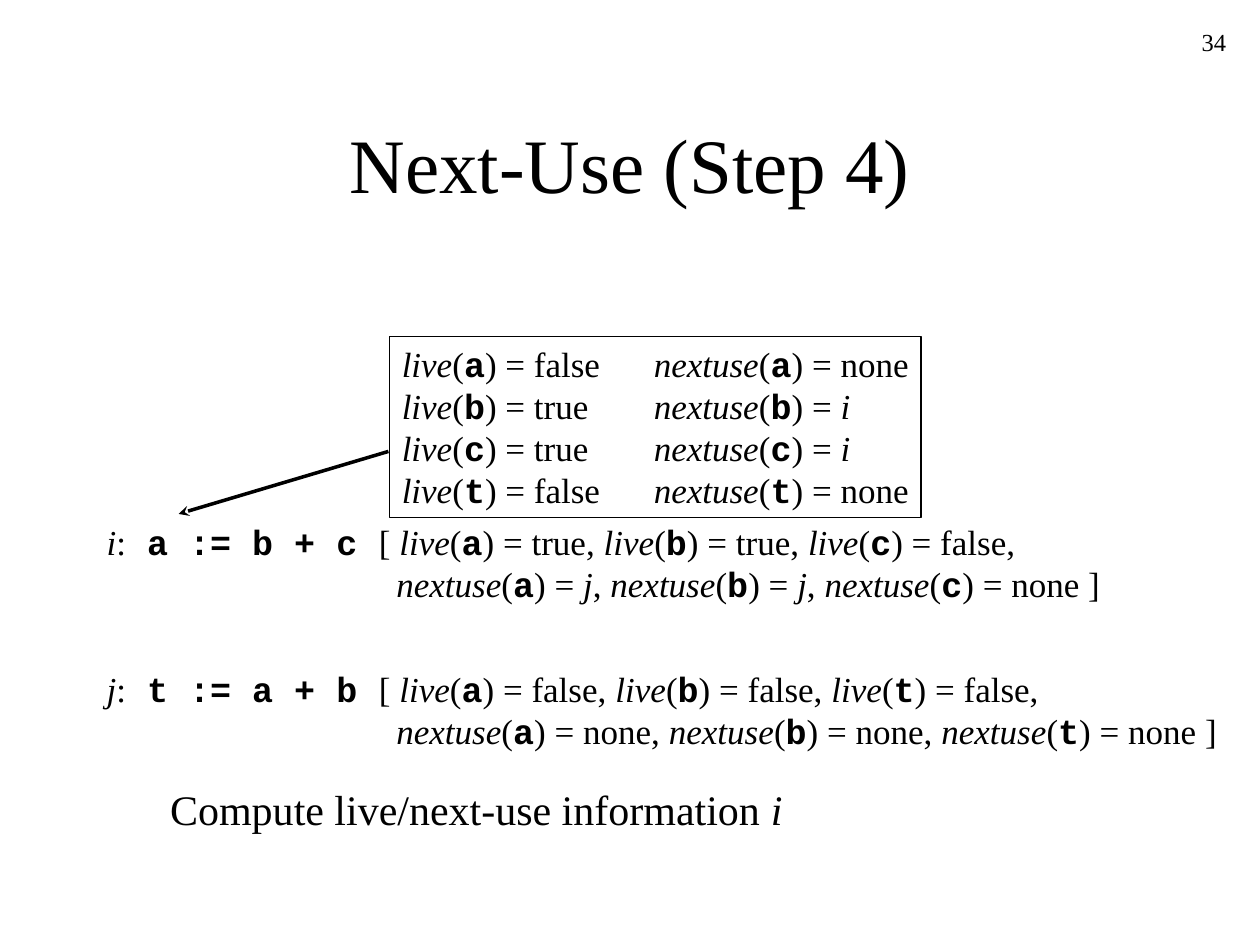
from lxml.etree import SubElement
from pptx import Presentation
from pptx.dml.color import RGBColor
from pptx.enum.shapes import MSO_CONNECTOR as Link, MSO_SHAPE as Shape
from pptx.enum.text import MSO_ANCHOR as Anchor, MSO_AUTO_SIZE as Fit, PP_ALIGN as Align
from pptx.oxml.ns import qn
from pptx.util import Cm, Pt

BLACK = RGBColor(0, 0, 0)
SERIF, MONO = "Times New Roman", "Courier New"
R, I, C = "roman", "italic", "code"

TITLE = "Next-Use (Step 4)"
NUMBER = "34"
NOTE = [("Compute live/next-use information ", R), ("i", I)]

# variable, live, next use
TABLE = [
    ("a", "false", "none"),
    ("b", "true", "i"),
    ("c", "true", "i"),
    ("t", "false", "none"),
]

# label, code, top in cm, facts as in TABLE
STEPS = [
    ("i", " a := b + c", 10.36,
     [("a", "true", "j"), ("b", "true", "j"), ("c", "false", "none")]),
    ("j", " t := a + b", 13.34,
     [("a", "false", "none"), ("b", "false", "none"), ("t", "false", "none")]),
]


def fact(name, var, value):
    """Runs for one equation, such as live(a) = true."""
    style = R if value in ("true", "false", "none") else I
    return [(name, I), ("(", R), (var, C), (") = ", R), (value, style)]


def chain(name, pairs):
    """Equations for all pairs, with commas between them."""
    runs = []
    for n, (var, value) in enumerate(pairs):
        if n:
            runs.append((", ", R))
        runs += fact(name, var, value)
    return runs


def write(par, runs, size):
    for text, style in runs:
        run = par.add_run()
        run.text = text
        font = run.font
        font.name = MONO if style == C else SERIF
        font.size = Pt(size)
        font.bold = style == C
        font.italic = style == I
        font.color.rgb = BLACK


def fill(shape, lines, size=20, align=Align.LEFT, wrap=False):
    frame = shape.text_frame
    frame.word_wrap = wrap
    frame.auto_size = Fit.NONE if wrap else Fit.SHAPE_TO_FIT_TEXT
    frame.vertical_anchor = Anchor.TOP
    for n, runs in enumerate(lines):
        par = frame.paragraphs[0] if n == 0 else frame.add_paragraph()
        par.alignment = align
        write(par, runs, size)
    return frame


def add_tab(par, place):
    stops = SubElement(par._p.get_or_add_pPr(), qn("a:tabLst"))
    SubElement(stops, qn("a:tab"), pos=str(place), algn="l")


def add_arrow(slide, start, end):
    line = slide.shapes.add_connector(Link.STRAIGHT, *start, *end)
    line.line.color.rgb = BLACK
    line.line.width = Pt(2)
    SubElement(line.line._get_or_add_ln(), qn("a:tailEnd"), type="stealth")
    SubElement(line._element.spPr, qn("a:effectLst"))


def add_table_box(slide):
    box = slide.shapes.add_shape(
        Shape.RECTANGLE, Cm(7.85), Cm(6.78), Cm(10.72), Cm(3.66))
    box.shadow.inherit = False
    box.fill.background()
    box.line.color.rgb = BLACK
    box.line.width = Pt(0.75)
    lines = [fact("live", var, live) + [("\t", R)] + fact("nextuse", var, use)
             for var, live, use in TABLE]
    for par in fill(box, lines).paragraphs:
        add_tab(par, Cm(5.08))


def add_step(slide, label, code, top, facts):
    box = slide.shapes.add_textbox
    left = box(Cm(1.9), Cm(top), Cm(5.56), Cm(1.12))
    fill(left, [[(label, I), (":", R), (code, C)]])
    lives = chain("live", [(var, live) for var, live, _ in facts])
    uses = chain("nextuse", [(var, use) for var, _, use in facts])
    wide = 17.4 if label == "j" else 15.04
    right = box(Cm(7.39), Cm(top), Cm(wide), Cm(1.96))
    frame = fill(right, [[("[ ", R)] + lives + [(",", R)], uses + [(" ]", R)]])
    props = frame.paragraphs[1]._p.get_or_add_pPr()
    props.set("marL", str(Cm(0.35)))
    props.set("indent", "0")


def main():
    deck = Presentation()
    deck.slide_width, deck.slide_height = Cm(25.4), Cm(19.05)
    slide = deck.slides.add_slide(deck.slide_layouts[6])
    box = slide.shapes.add_textbox

    title = box(Cm(1.9), Cm(1.7), Cm(21.6), Cm(3.18))
    frame = fill(title, [[(TITLE, R)]], 44, Align.CENTER, True)
    frame.vertical_anchor = Anchor.MIDDLE
    number = box(Cm(19.68), Cm(0.43), Cm(5.29), Cm(1.27))
    fill(number, [[(NUMBER, R)]], 14, Align.RIGHT, True)

    add_table_box(slide)
    for step in STEPS:
        add_step(slide, *step)
    note = box(Cm(3.18), Cm(15.67), Cm(12.85), Cm(1.27))
    fill(note, [NOTE], 24)
    add_arrow(slide, (Cm(7.83), Cm(9.1)), (Cm(3.6), Cm(10.36)))
    deck.save("out.pptx")


if __name__ == "__main__":
    main()
